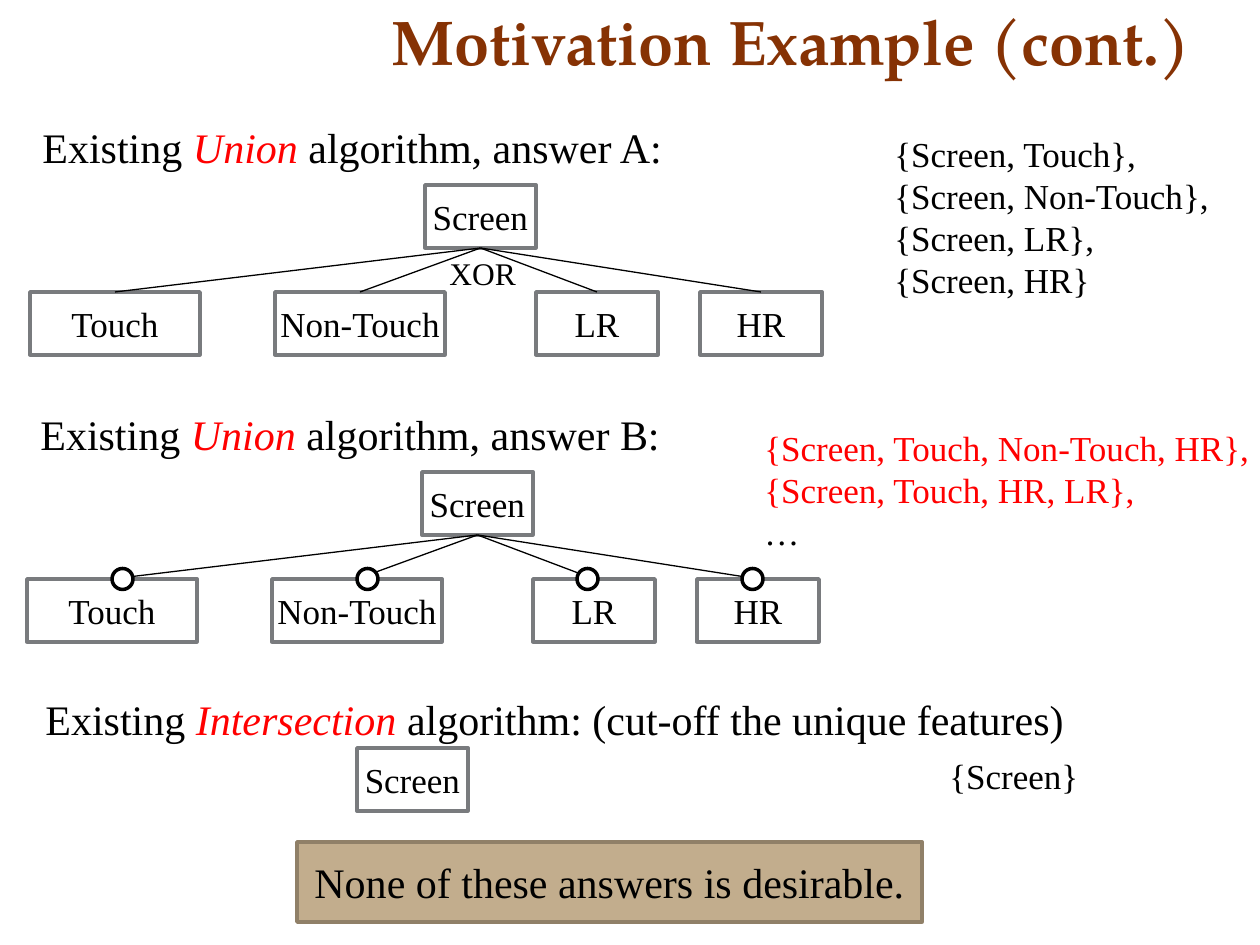
from lxml import etree
from pptx import Presentation
from pptx.dml.color import RGBColor
from pptx.enum.shapes import MSO_CONNECTOR, MSO_SHAPE
from pptx.enum.text import MSO_ANCHOR, MSO_AUTO_SIZE, PP_ALIGN
from pptx.oxml.ns import qn
from pptx.util import Emu, Inches, Pt

RECT, OVAL = MSO_SHAPE.RECTANGLE, MSO_SHAPE.OVAL
STRAIGHT = MSO_CONNECTOR.STRAIGHT
LEFT, CENTER = PP_ALIGN.LEFT, PP_ALIGN.CENTER
MIDDLE, BOTTOM = MSO_ANCHOR.MIDDLE, MSO_ANCHOR.BOTTOM
NO_FIT, GROW = MSO_AUTO_SIZE.NONE, MSO_AUTO_SIZE.SHAPE_TO_FIT_TEXT

PX_PER_INCH = 126
BLACK, WHITE, RED, GRAY = "000000", "FFFFFF", "FF0000", "797B7E"
BROWN, TAN, DARK_TAN = "863204", "C2AD8D", "908068"
SERIF, TITLE_FONT = "Times New Roman", "TeX Gyre Pagella"

# Tree geometry, relative to the tree's top left corner
NODE_H, ROOT_X, ROOT_W, CHILD_Y = 63, 395, 111, 107
CHILDREN = [  # name, left, width, left of the optional mark
    ("Touch", 0, 170, 85),
    ("Non-Touch", 245, 170, 330),
    ("LR", 506, 122, 550),
    ("HR", 670, 122, 715),
]
MARK = 21


def px(n):
    return Emu(round(n * Inches(1) / PX_PER_INCH))


def rgb(value):
    return RGBColor.from_string(value)


def add_run(p, text, color=BLACK, **fmt):
    r = p.add_run()
    r.text = text
    r.font.color.rgb = rgb(color)
    for name, value in {"name": SERIF, "size": Pt(20), **fmt}.items():
        setattr(r.font, name, value)


def add_box(s, x, y, w, h, text="", kind=RECT, fill=WHITE, line=GRAY, size=20):
    sp = s.shapes.add_shape(kind, px(x), px(y), px(w), px(h))
    sp.shadow.inherit = False
    sp.fill.solid()
    sp.fill.fore_color.rgb = rgb(fill)
    sp.line.color.rgb = rgb(line)
    sp.line.width = Pt(2)
    if text:
        tf = sp.text_frame
        tf.word_wrap = False
        tf.vertical_anchor = MIDDLE
        tf.paragraphs[0].alignment = CENTER
        add_run(tf.paragraphs[0], text, size=Pt(size))


def add_line(s, x1, y1, x2, y2):
    line = s.shapes.add_connector(STRAIGHT, px(x1), px(y1), px(x2), px(y2))
    line.line.color.rgb = rgb(BLACK)
    line.line.width = Pt(0.75)
    etree.SubElement(line._element.spPr, qn("a:effectLst"))


def add_text(s, x, y, w, h, lines, size=20):
    """Each line is a list of (text, colour, italic) runs."""
    tf = s.shapes.add_textbox(px(x), px(y), px(w), px(h)).text_frame
    tf.word_wrap = False
    tf.auto_size = GROW
    for i, runs in enumerate(lines):
        p = tf.add_paragraph() if i else tf.paragraphs[0]
        for text, color, italic in runs:
            add_run(p, text, color, size=Pt(size), italic=italic)


def add_answers(s, x, y, w, h, answers):
    add_text(s, x, y, w, h, [[(text, color, False)] for text, color in answers])


def add_heading(s, x, y, w, name, rest):
    runs = [("Existing ", BLACK, False), (name + " ", RED, True), (rest, BLACK, False)]
    add_text(s, x, y, w, 63, [runs], size=24)


def add_tree(s, x, y, marked=False):
    root_x = x + ROOT_X + ROOT_W / 2
    child_y = y + CHILD_Y
    add_box(s, x + ROOT_X, y, ROOT_W, NODE_H, "Screen")
    for name, left, w, _ in CHILDREN:
        add_box(s, x + left, child_y, w, NODE_H, name)
        add_line(s, root_x, y + NODE_H, x + left + w / 2, child_y)
    if marked:
        for _, _, _, left in CHILDREN:
            add_box(s, x + left, child_y - MARK / 2, MARK, MARK, kind=OVAL, line=BLACK)


def add_title(s, x, y, w, h, text):
    title = s.shapes.title
    title.left, title.top, title.width, title.height = map(px, (x, y, w, h))
    tf = title.text_frame
    tf.auto_size = NO_FIT
    tf.vertical_anchor = BOTTOM
    tf.paragraphs[0].alignment = LEFT
    add_run(tf.paragraphs[0], text, BROWN, name=TITLE_FONT, size=Pt(36), bold=True)


def main():
    prs = Presentation()
    prs.slide_width, prs.slide_height = Inches(10), Inches(7.5)
    s = prs.slides.add_slide(prs.slide_layouts[5])
    add_title(s, 379, -4, 862, 88, "Motivation Example (cont.)")

    # Union, answer A
    add_heading(s, 30, 115, 662, "Union", "algorithm, answer A:")
    add_tree(s, 30, 185)
    add_text(s, 437, 248, 92, 50, [[("XOR", BLACK, False)]], size=18)
    add_answers(s, 882, 126, 343, 183, [
        ("{Screen, Touch},", BLACK),
        ("{Screen, Non-Touch},", BLACK),
        ("{Screen, LR},", BLACK),
        ("{Screen, HR}", BLACK),
    ])

    # Union, answer B
    add_heading(s, 28, 402, 662, "Union", "algorithm, answer B:")
    add_tree(s, 27, 472, marked=True)
    add_answers(s, 752, 420, 523, 140, [
        ("{Screen, Touch, Non-Touch, HR},", RED),
        ("{Screen, Touch, HR, LR},", RED),
        ("…", BLACK),
    ])

    # Intersection
    add_heading(s, 33, 687, 1052, "Intersection", "algorithm: (cut-off the unique features)")
    add_box(s, 357, 748, ROOT_W, NODE_H, "Screen")
    add_answers(s, 937, 748, 155, 55, [("{Screen}", BLACK)])

    # Conclusion
    add_box(s, 297, 842, 625, 80, "None of these answers is desirable.",
            fill=TAN, line=DARK_TAN, size=24)
    prs.save("out.pptx")


if __name__ == "__main__":
    main()
